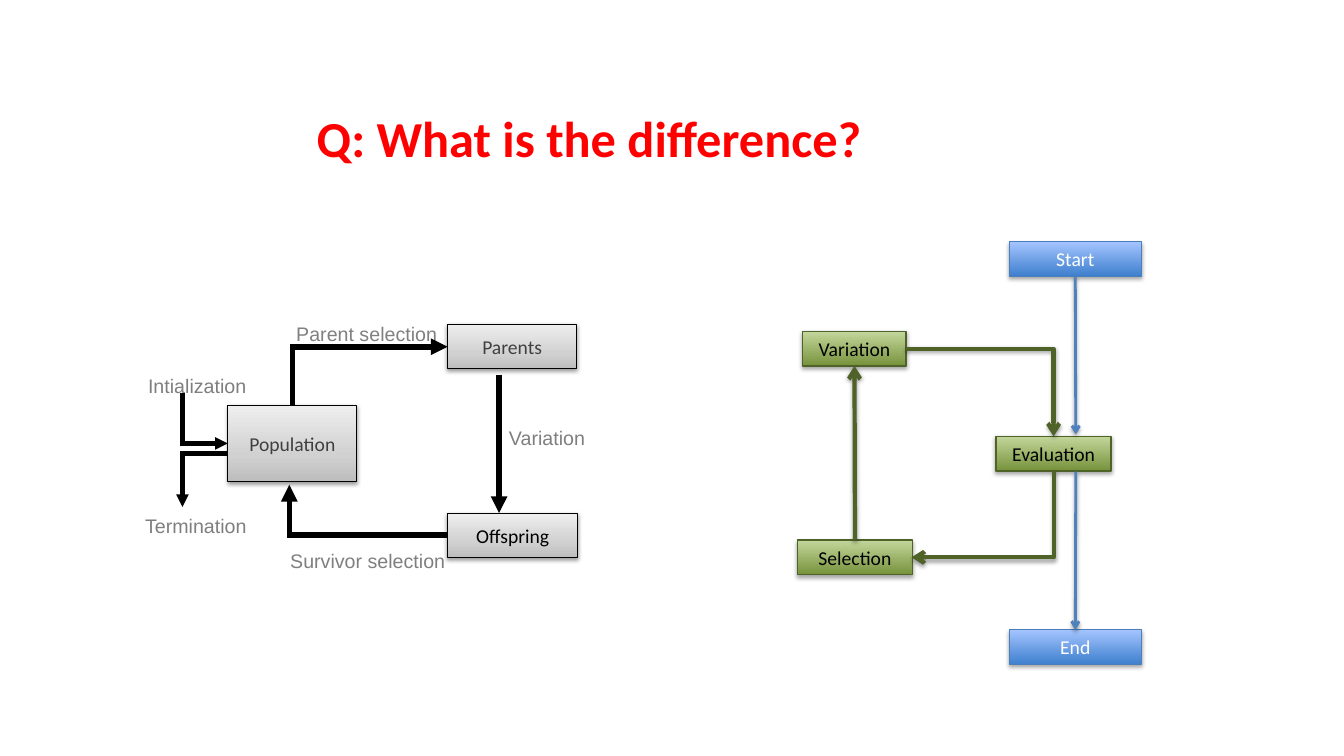
import copy

import pptx
import pptx.dml.color
import pptx.enum.shapes
import pptx.enum.text
import pptx.oxml
import pptx.oxml.ns
import pptx.util

Inches, Pt = pptx.util.Inches, pptx.util.Pt
RGB = pptx.dml.color.RGBColor.from_string
qn = pptx.oxml.ns.qn
CONNECTOR = pptx.enum.shapes.MSO_CONNECTOR
ALIGN = pptx.enum.text.PP_ALIGN
ANCHOR = pptx.enum.text.MSO_ANCHOR

COLORS = {
    "black": "000000", "white": "FFFFFF", "red": "FF0000",
    "dark_grey": "404040", "label_grey": "808080", "mid_grey": "7F7F7F",
    "green_line": "4F6228", "blue_border": "4B7EBC", "blue_line": "4F81BD",
}
# Gradient stops run from the bottom of a box to its top.
BOX_STYLES = {
    "grey": ([(0, "BDBDBD"), (0.35, "D1D1D1"), (1, "EEEEEE")], "black", 0.75, 38, 1.6),
    "green": ([(0, "77933C"), (1, "C3D69B")], "green_line", 1.25, 35, 1.8),
    "blue": ([(0, "3F80CE"), (1, "A4C4FF")], "blue_border", 0.75, 35, 1.8),
}


def write(shape, text, size, font, color, align):
    """Put one formatted line of text into the shape."""
    paragraph = shape.text_frame.paragraphs[0]
    paragraph.text = text
    paragraph.alignment = align
    run_font = paragraph.runs[0].font
    run_font.size, run_font.name = Pt(size), font
    run_font.color.rgb = RGB(COLORS[color])
    return run_font


def add_effects(properties, opacity=0, distance=1.6):
    """Set the effect list to a soft drop shadow, or to nothing at zero opacity."""
    effects = properties.find(qn("a:effectLst"))
    if effects is None:
        effects = pptx.oxml.parse_xml(f'<a:effectLst {pptx.oxml.ns.nsdecls("a")}/>')
        properties.append(effects)
    if opacity:
        effects.append(pptx.oxml.parse_xml(
            f'<a:outerShdw {pptx.oxml.ns.nsdecls("a")} blurRad="{Pt(3.1)}" '
            f'dist="{Pt(distance)}" dir="5400000" rotWithShape="0">'
            f'<a:srgbClr val="{COLORS["black"]}"><a:alpha val="{opacity * 1000}"/>'
            '</a:srgbClr></a:outerShdw>'))


deck = pptx.Presentation()
deck.slide_width, deck.slide_height = Inches(13.33), Inches(7.5)
slide = deck.slides.add_slide(deck.slide_layouts[6])

title = slide.shapes.add_textbox(Inches(1.4), Inches(0.89), Inches(9), Inches(0.95))
title.text_frame.word_wrap = True
title.text_frame.vertical_anchor = ANCHOR.MIDDLE
write(title, "Q: What is the difference? ", 36, "Calibri", "red", ALIGN.CENTER).bold = True

# Boxes of both cycles
boxes = {}
for key, text, style, text_color, left, top, width, height in [
    ("population", "Population", "grey", "dark_grey", 2.26, 4.02, 1.28, 0.76),
    ("parents", "Parents", "grey", "dark_grey", 4.44, 3.22, 1.28, 0.44),
    ("offspring", "Offspring", "grey", "black", 4.44, 5.09, 1.29, 0.44),
    ("evaluation", "Evaluation", "green", "black", 9.88, 4.33, 1.14, 0.34),
    ("variation", "Variation", "green", "black", 7.96, 3.29, 1.03, 0.34),
    ("selection", "Selection", "green", "black", 7.91, 5.36, 1.14, 0.34),
    ("start", "Start", "blue", "white", 10.01, 2.4, 1.31, 0.34),
    ("end", "End", "blue", "white", 10.01, 6.25, 1.31, 0.34),
]:
    stops, border, border_width, opacity, distance = BOX_STYLES[style]
    box = slide.shapes.add_shape(
        pptx.enum.shapes.MSO_SHAPE.RECTANGLE,
        Inches(left), Inches(top), Inches(width), Inches(height))
    box.fill.gradient()
    box.fill.gradient_angle = 90
    stop_list = box._element.spPr.find(qn("a:gradFill")).find(qn("a:gsLst"))
    for _ in range(len(stops) - len(stop_list)):
        stop_list.append(copy.deepcopy(stop_list[0]))
    for stop, (position, color) in zip(box.fill.gradient_stops, stops):
        stop.position = position
        stop.color.rgb = RGB(color)
    box.line.color.rgb = RGB(COLORS[border])
    box.line.width = Pt(border_width)
    box.shadow.inherit = False
    add_effects(box._element.spPr, opacity, distance)
    box.text_frame.word_wrap = style != "grey"
    box.text_frame.vertical_anchor = ANCHOR.MIDDLE
    write(box, text, 14, "Calibri", text_color, ALIGN.CENTER)
    boxes[key] = box

# Labels of the left cycle
for text, color, left, top, width in [
    ("Parent selection", "label_grey", 2.84, 3.14, 1.6),
    ("Survivor selection", "mid_grey", 2.78, 5.4, 1.75),
    ("Variation", "mid_grey", 4.95, 4.18, 0.96),
    ("Intialization", "mid_grey", 1.37, 3.66, 1.18),
    ("Termination", "mid_grey", 1.34, 5.05, 1.21),
]:
    label = slide.shapes.add_textbox(Inches(left), Inches(top), Inches(width), Inches(0.34))
    label.text_frame.word_wrap = False
    write(label, text, 14, "Arial", color, ALIGN.LEFT)

# Arrows: an elbow leaves its first point sideways; the last item is the arrowhead's end
# and joins maps an end to a box and the side it touches.
for kind, color, width, x1, y1, x2, y2, joins, head_end in [
    ("elbow", "black", 4, 4.44, 3.44, 2.9, 4.02, {}, "headEnd"),
    ("elbow", "black", 4, 4.44, 5.31, 2.87, 4.81, {}, "tailEnd"),
    ("straight", "black", 4, 4.95, 3.72, 4.95, 5.09, {}, "tailEnd"),
    ("elbow", "black", 3, 2.26, 4.4, 1.81, 3.9, {}, "headEnd"),
    ("elbow", "black", 3, 2.26, 4.5, 1.81, 5.03, {}, "tailEnd"),
    ("elbow", "green_line", 3, 8.99, 3.46, 10.45, 4.33, {}, "tailEnd"),
    ("elbow", "green_line", 3, 9.04, 5.53, 10.45, 4.67, {}, "headEnd"),
    ("straight", "blue_line", 2, 10.67, 2.74, 10.67, 4.31, {"begin": ("start", 2)}, "tailEnd"),
    ("straight", "blue_line", 2, 10.67, 4.68, 10.67, 6.25, {"end": ("end", 0)}, "tailEnd"),
    ("straight", "green_line", 3, 8.48, 5.36, 8.48, 3.63,
     {"begin": ("selection", 0), "end": ("variation", 2)}, "tailEnd"),
]:
    arrow = slide.shapes.add_connector(
        CONNECTOR.ELBOW if kind == "elbow" else CONNECTOR.STRAIGHT,
        Inches(x1), Inches(y1), Inches(x2), Inches(y2))
    properties = arrow._element.spPr
    if kind == "elbow":
        properties.find(qn("a:prstGeom")).set("prst", "bentConnector2")
    if "begin" in joins:
        box_key, side = joins["begin"]
        arrow.begin_connect(boxes[box_key], side)
    if "end" in joins:
        box_key, side = joins["end"]
        arrow.end_connect(boxes[box_key], side)
    arrow.line.color.rgb = RGB(COLORS[color])
    arrow.line.width = Pt(width)
    line = properties.find(qn("a:ln"))
    if color == "black":
        line.append(pptx.oxml.parse_xml(
            f'<a:miter {pptx.oxml.ns.nsdecls("a")} lim="800000"/>'))
    head_type = "triangle" if color == "black" else "arrow"
    line.append(pptx.oxml.parse_xml(
        f'<a:{head_end} {pptx.oxml.ns.nsdecls("a")} type="{head_type}"/>'))
    add_effects(properties, 0 if color == "black" else 38)

deck.save("out.pptx")
